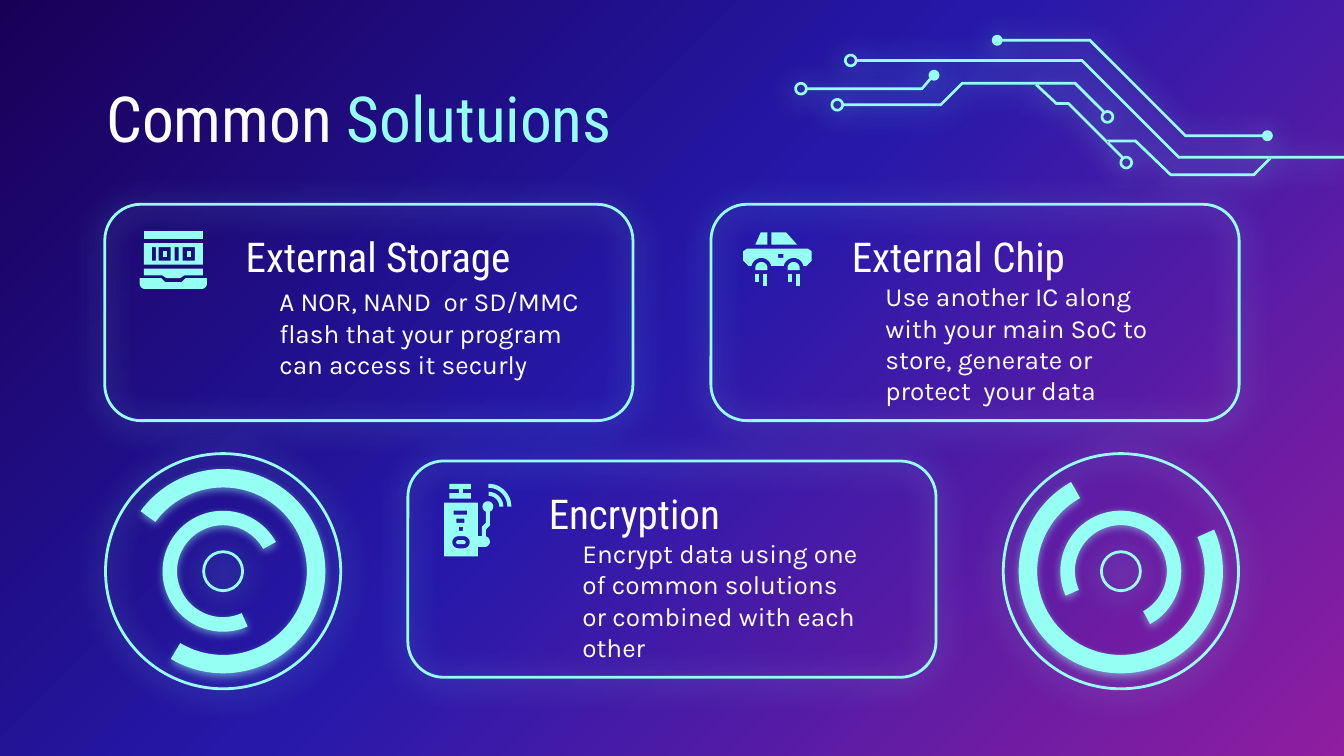
from copy import deepcopy
from math import atan2, cos, radians, sin

from lxml import etree
from pptx import Presentation
from pptx.dml.color import RGBColor
from pptx.enum.shapes import MSO_SHAPE
from pptx.enum.text import MSO_ANCHOR, MSO_AUTO_SIZE, PP_ALIGN
from pptx.oxml.ns import qn
from pptx.util import Inches, Pt

CARD, CIRCLE, ARC = MSO_SHAPE.ROUNDED_RECTANGLE, MSO_SHAPE.OVAL, MSO_SHAPE.BLOCK_ARC
TOP, MIDDLE, LEFT = MSO_ANCHOR.TOP, MSO_ANCHOR.MIDDLE, PP_ALIGN.LEFT
NO_FIT = MSO_AUTO_SIZE.NONE
COLORS = {"night": "190057", "blue": "2619AA", "purple": "8F1EA0",
          "neon": "96FFF3", "halo": "98FAFC", "white": "FFFFFF"}
TITLE = {"name": "Roboto Condensed", "size": Pt(34), "bold": False}
HEADING = {"name": "Roboto Condensed", "size": Pt(22)}
BODY = {"name": "Karla", "size": Pt(14)}
CARD_W, CARD_H = 3.93, 1.61
WIRE = 2


def rgb(name):
    return RGBColor.from_string(COLORS[name])


def apply(obj, fmt):
    for key, value in fmt.items():
        setattr(obj, key, value)


def box(x, y, w, h):
    return [(x, y), (x + w, y), (x + w, y + h), (x, y + h)]


def arc(x, y, r, start, end, steps=24):
    angles = [radians(start + (end - start) * i / steps) for i in range(steps + 1)]
    return [(x + r * cos(a), y + r * sin(a)) for a in angles]


def ring(x, y):
    return [arc(x, y, 5, 0, 360), arc(x, y, 3, 360, 0)]


def disc(x, y):
    return [arc(x, y, 4, 0, 360)]


def pill(x, y, w, h):
    r = h / 2
    return arc(x + r, y + r, r, 90, 270) + arc(x + w - r, y + r, r, -90, 90)


def wire(*points):
    angles = [atan2(b[1] - a[1], b[0] - a[0]) for a, b in zip(points, points[1:])]
    upper, lower = [], []
    for (x, y), a, b in zip(points, angles[:1] + angles, angles + angles[-1:]):
        reach = WIRE / 2 / cos((b - a) / 2)
        dx, dy = reach * sin((a + b) / 2), -reach * cos((a + b) / 2)
        upper.append((x + dx, y + dy))
        lower.append((x - dx, y - dy))
    return [upper + lower[::-1]]


def glow(shape, color="neon", alpha=67, blur=15.8):
    effects = shape._element.spPr.find(qn("a:effectLst"))
    shadow = etree.SubElement(effects, qn("a:outerShdw"), blurRad=str(Pt(blur)),
                              dist=str(Pt(1.5)), dir="5400000", algn="bl", rotWithShape="0")
    clr = etree.SubElement(shadow, qn("a:srgbClr"), val=COLORS[color])
    etree.SubElement(clr, qn("a:alpha"), val=str(alpha * 1000))


def paint(shape, filled):
    shape.shadow.inherit = False
    if filled:
        shape.fill.solid()
        shape.fill.fore_color.rgb = rgb("neon")
        shape.line.fill.background()
    else:
        shape.fill.background()
        shape.line.color.rgb = rgb("neon")
        shape.line.width = Pt(1.5)


def add_preset(s, kind, x, y, w, h, filled=False):
    sp = s.shapes.add_shape(kind, *map(Inches, (x, y, w, h)))
    paint(sp, filled)
    return sp


def add_outline(s, contours, x=0, y=0):
    scaled = [[(Inches(x + px / 100), Inches(y + py / 100)) for px, py in c] for c in contours]
    builder = s.shapes.build_freeform(*scaled[0][0])
    for i, contour in enumerate(scaled):
        if i:
            builder.move_to(*contour[0])
        builder.add_line_segments(contour[1:], close=True)
    sp = builder.convert_to_shape()
    paint(sp, True)
    return sp


def write(sp, runs, font, anchor=MIDDLE, inset=0.1, bottom=None):
    tf = sp.text_frame
    side = Inches(inset)
    apply(tf, {"word_wrap": True, "auto_size": NO_FIT, "vertical_anchor": anchor,
               "margin_left": side, "margin_right": side, "margin_top": side,
               "margin_bottom": Inches(bottom or inset)})
    p = tf.paragraphs[0]
    p.alignment = LEFT
    for text, color in runs:
        r = p.add_run()
        r.text = text
        apply(r.font, font)
        r.font.color.rgb = rgb(color)
    return p


def add_background(s):
    fill = s.background.fill
    fill.gradient()
    fill.gradient_angle = 315
    stops = s._element.find(".//" + qn("a:gsLst"))
    stops.insert(1, deepcopy(stops[0]))
    for stop, position, color in zip(fill.gradient_stops, (0, 0.48, 1), ("night", "blue", "purple")):
        stop.position = position
        stop.color.rgb = rgb(color)


def add_circuit(s):
    tracks = [
        wire((601, 66), (686, 66), (692, 59)) + ring(596, 66) + disc(695, 56),
        wire((746, 30), (811, 30), (882, 101), (939, 101)) + disc(742, 30) + disc(943, 101),
        wire((638, 45), (805, 45), (877, 117), (1000, 117))
        + wire((628, 78), (700, 78), (716, 62), (800, 62), (821, 83))
        + wire((771, 63), (786, 77), (795, 77), (835, 117))
        + wire((824, 105), (845, 105), (871, 130), (933, 130), (945, 118))
        + ring(633, 45) + ring(623, 78) + ring(824, 87) + ring(838, 121),
    ]
    parts = [add_outline(s, track) for track in tracks]
    for part in parts:
        glow(part)
    s.shapes.add_group_shape(parts)


def laptop_icon():
    return [
        [box(3, 0, 44, 6)], [box(17, 15, 3, 4)], [box(35, 15, 3, 4)],
        [box(3, 9, 44, 16), box(9, 12, 3, 10), box(14, 12, 9, 10),
         box(26, 12, 3, 10), box(32, 12, 9, 10)],
        [[(3, 28), (3, 33), (17, 33), (20, 35), (30, 35), (33, 33), (47, 33), (47, 28)]],
        [[(0, 35)] + arc(4, 39, 4, 180, 90) + arc(46, 39, 4, 90, 0)
         + [(50, 35), (34, 35), (31, 38), (19, 38), (16, 35)]],
    ]


def car_icon():
    wheels = (13.5, 37.5)
    arches = [pt for x in wheels for pt in arc(x, 26.5, 7.5, 192, 348)]
    body = [(3, 12), (0, 14), (0, 21), (4, 25)] + arches + [(47, 25), (51, 21), (51, 14), (48, 12)]
    jets = [[box(x, 31, 3, h)] for x, h in ((9, 6), (15, 9), (33, 6), (39, 9))]
    domes = [[arc(x, 26.5, 4.5, 180, 360) + [(x + 4.5, 28), (x - 4.5, 28)]] for x in wheels]
    return [[[(13, 0), (9, 9), (18, 9), (18, 0)]], [[(21, 0), (21, 9), (40, 9), (32, 0)]],
            [body, box(26, 16, 4, 3)]] + jets + domes


def key_icon():
    waves = [[arc(33, 17, r + 3, -90, 0) + arc(33, 17, r, 0, -90)] for r in (8, 14)]
    cap = [(4, 0), (4, 4), (11, 4), (11, 7), (4, 7), (4, 11),
           (20, 11), (20, 7), (14, 7), (14, 4), (20, 4), (20, 0)]
    body = ([(31, 21), (31, 29), (28, 32), (28, 39), (25, 39), (25, 14), (0, 14), (0, 54),
             (25, 54), (25, 47)] + arc(30, 43, 4, 90, -75) + [(31, 34), (34, 31)]
            + arc(32.5, 17, 4, 68, -248))
    slots = [box(7, 20, 10, 3), box(9, 26, 6, 3), box(11, 32, 3, 3), pill(6, 39, 13, 9)]
    return waves + [[cap], [pill(9, 42, 7, 3)], [body] + slots]


def add_card(s, x, y, heading, body, icon, icon_at, text_w=2.56, body_dy=0.64, bottom=0.1):
    glow(add_preset(s, CARD, x, y, CARD_W, CARD_H), "halo")
    for text, font, dy, h, pad in ((heading, HEADING, 0.17, 0.43, 0.1),
                                   (body, BODY, body_dy, 0.79, bottom)):
        sp = s.shapes.add_textbox(*map(Inches, (x + 0.95, y + dy, text_w, h)))
        p = write(sp, [(text, "white")], font, bottom=pad)
    p.space_before = Pt(10)
    p._p.get_or_add_pPr().set("marL", str(Inches(0.25)))
    dx, dy = icon_at
    s.shapes.add_group_shape([add_outline(s, part, x + dx, y + dy) for part in icon])


def add_gauge(s, cx, cy, outer_turn, inner_turn):
    parts = []
    for size, turn, adjustments in ((1.75, 0, ()), (1.52, outer_turn, (75.58, 18.5, 0.09)),
                                    (0.29, 0, ()), (0.9, inner_turn, (75.58, 18.62, 0.12))):
        is_arc = bool(adjustments)
        sp = add_preset(s, ARC if is_arc else CIRCLE, cx - size / 2, cy - size / 2, size, size, is_arc)
        sp.rotation = turn
        for i, value in enumerate(adjustments):
            sp.adjustments[i] = value
        glow(sp, alpha=50 if is_arc else 67, blur=4.5 if is_arc else 15.8)
        parts.append(sp)
    s.shapes.add_group_shape(parts)


def main():
    prs = Presentation()
    prs.slide_width, prs.slide_height = Inches(10), Inches(10) * 9 // 16
    s = prs.slides.add_slide(prs.slide_layouts[5])
    add_background(s)
    title = s.shapes.title
    apply(title, {"left": Inches(0.79), "top": Inches(0.59),
                  "width": Inches(8.43), "height": Inches(0.63)})
    write(title, [("Common ", "white"), ("Solutuions", "neon")], TITLE, TOP, 0)
    add_circuit(s)
    add_card(s, 0.78, 1.52, "External Storage",
             "A NOR, NAND  or SD/MMC flash that your program can access it securly",
             laptop_icon(), (0.26, 0.2), text_w=2.77, body_dy=0.68, bottom=0.34)
    add_card(s, 5.29, 1.52, "External Chip",
             "Use another IC along with your main SoC to store, generate or protect  your data",
             car_icon(), (0.24, 0.21))
    add_card(s, (10 - CARD_W) / 2, 3.43, "Encryption",
             "Encrypt data using one of common solutions or combined with each other",
             key_icon(), (0.27, 0.17))
    add_gauge(s, 1.66, 4.25, 90, 300)
    add_gauge(s, 8.34, 4.25, 210, 30)
    prs.save("out.pptx")


if __name__ == "__main__":
    main()
